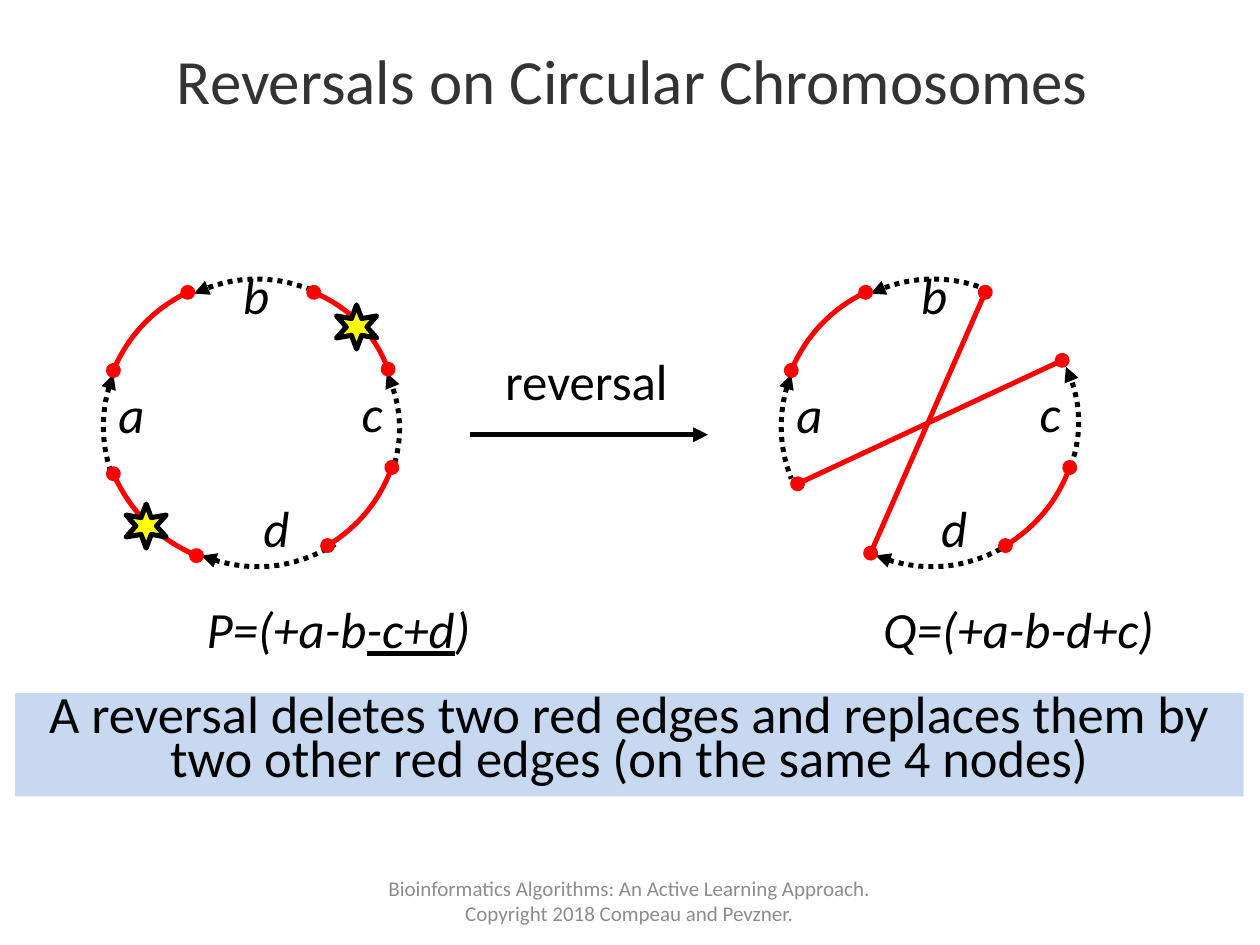
from math import hypot

from lxml import etree
from pptx import Presentation
from pptx.dml.color import RGBColor
from pptx.enum.dml import MSO_LINE
from pptx.enum.shapes import MSO_CONNECTOR, MSO_SHAPE
from pptx.enum.text import MSO_ANCHOR, PP_ALIGN
from pptx.oxml.ns import qn
from pptx.util import Pt

PX = 9144
BLACK = RGBColor(0x00, 0x00, 0x00)
RED = RGBColor(0xFF, 0x00, 0x00)
YELLOW = RGBColor(0xFF, 0xFF, 0x00)
BLUE = RGBColor(0xC6, 0xD9, 0xF1)
DARK = RGBColor(0x33, 0x33, 0x33)
GRAY = RGBColor(0x8C, 0x8C, 0x8C)
LEFT, CENTER = PP_ALIGN.LEFT, PP_ALIGN.CENTER
TOP, MIDDLE = MSO_ANCHOR.TOP, MSO_ANCHOR.MIDDLE
DOTS = MSO_LINE.ROUND_DOT
STRAIGHT = MSO_CONNECTOR.STRAIGHT
RECT, STAR = MSO_SHAPE.RECTANGLE, MSO_SHAPE.STAR_6_POINT
STEPS = 16

deck = Presentation()
deck.slide_width, deck.slide_height = 1000 * PX, 750 * PX
slide = deck.slides.add_slide(deck.slide_layouts[5])
shapes = slide.shapes


def write(text, box=None, shape=None, size=29, color=BLACK, italic=False,
          align=LEFT, anchor=TOP, space=None, wrap=False, inset=True):
    shape = shape or shapes.add_textbox(*[n * PX for n in box])
    frame = shape.text_frame
    frame.word_wrap = wrap
    frame.vertical_anchor = anchor
    if not inset:
        frame.margin_left = frame.margin_right = 0
        frame.margin_top = frame.margin_bottom = 0
    para = frame.paragraphs[0]
    para.alignment = align
    if space:
        para.line_spacing = space
    for i, part in enumerate(text.split("_")):
        run = para.add_run()
        run.text = part
        font = run.font
        font.name, font.size, font.italic = "Calibri", Pt(size), italic
        font.color.rgb = color
        if i % 2:
            font.underline = True


def stroke(shape, color, head=None, tail=None, dash=None):
    line = shape.line
    line.color.rgb = color
    line.width = Pt(2.85)
    if dash:
        line.dash_style = dash
    for tag, kind in (("a:headEnd", head), ("a:tailEnd", tail)):
        if kind:
            etree.SubElement(line._ln, qn(tag), type=kind)
    props = shape._element.spPr
    if props.find(qn("a:effectLst")) is None:
        etree.SubElement(props, qn("a:effectLst"))


title = shapes.title
title.left, title.top, title.width, title.height = 4 * PX, 0, 996 * PX, 125 * PX
write("Reversals on Circular Chromosomes", shape=title, size=36, color=DARK,
      align=CENTER, anchor=MIDDLE, space=1.02, wrap=True, inset=False)

black = [
    (160, 441, 266, 432, 13, "triangle", None),
    (311, 375, 307, 296, 8, None, "triangle"),
    (247, 230, 154, 233, 10, None, "triangle"),
    (90, 297, 90, 380, 8, "triangle", None),
]
red = [
    (149, 232, 90, 294, 8, "oval", "oval"),
    (260, 433, 311, 371, 7, "oval", "oval"),
]
cut = [
    (308, 293, 249, 232, 9, "oval", "oval"),
    (90, 376, 156, 441, 9, "oval", "oval"),
]
moves = [(535, 0), (539, -5), (537, 0), (538, 0)]

arcs = [(arc, 0, 0, BLACK, DOTS) for arc in black]
arcs += [(arc, *move, BLACK, DOTS) for arc, move in zip(black, moves)]
arcs += [(arc, 0, 0, RED, None) for arc in red + cut]
arcs += [(arc, 538, 0, RED, None) for arc in red]

for (x1, y1, x2, y2, bulge, head, tail), dx, dy, color, dash in arcs:
    w, h = x2 - x1, y2 - y1
    size = hypot(w, h)
    dots = []
    for i in range(STEPS + 1):
        t = i / STEPS
        out = 4 * bulge * t * (1 - t) / size
        dots.append(((x1 + dx + w * t - h * out) * PX,
                     (y1 + dy + h * t + w * out) * PX))
    pen = shapes.build_freeform(*dots[0], scale=1.0)
    pen.add_line_segments(dots[1:], close=False)
    curve = pen.convert_to_shape()
    curve.fill.background()
    stroke(curve, color, head, tail, dash)

lines = [
    (373, 345, 562, 345, BLACK, None, "triangle"),
    (782, 232, 691, 439, RED, "oval", "oval"),
    (843, 286, 633, 384, RED, "oval", "oval"),
]
for x1, y1, x2, y2, color, head, tail in lines:
    edge = shapes.add_connector(STRAIGHT, x1 * PX, y1 * PX, x2 * PX, y2 * PX)
    stroke(edge, color, head, tail)

for x, y in [(100, 400), (267, 242)]:
    star = shapes.add_shape(STAR, x * PX, y * PX, 32 * PX, 35 * PX)
    star.adjustments[0] = 0.22
    star.fill.solid()
    star.fill.fore_color.rgb = YELLOW
    stroke(star, BLACK)

for dx in (0, 538):
    for name, x, y, w, h in [("a", 94, 320, 34, 64), ("b", 193, 225, 28, 55),
                             ("c", 287, 319, 18, 40), ("d", 209, 410, 17, 48)]:
        write(name, (x + dx, y, w, h), italic=True, space=0.63, inset=False)

write("reversal", (401, 291, 140, 45), space=0.69, inset=False)
for text, x in [("P=(+a-b_-c+d_)", 164), ("Q=(+a-b-d+c)", 701)]:
    write(text, (x, 490, 230, 75), italic=True, space=0.64, inset=False)

band = shapes.add_shape(RECT, 12 * PX, 550 * PX, 975 * PX, 82 * PX)
band.shadow.inherit = False
band.fill.solid()
band.fill.fore_color.rgb = BLUE
band.line.fill.background()
write("A reversal deletes two red edges and replaces them by two other red edges "
      "(on the same 4 nodes)", shape=band, size=30, align=CENTER, space=0.69,
      wrap=True)

write("Bioinformatics Algorithms: An Active Learning Approach. "
      "Copyright 2018 Compeau and Pevzner.", (283, 695, 433, 40), size=12,
      color=GRAY, align=CENTER, anchor=MIDDLE, wrap=True)

deck.save("out.pptx")
